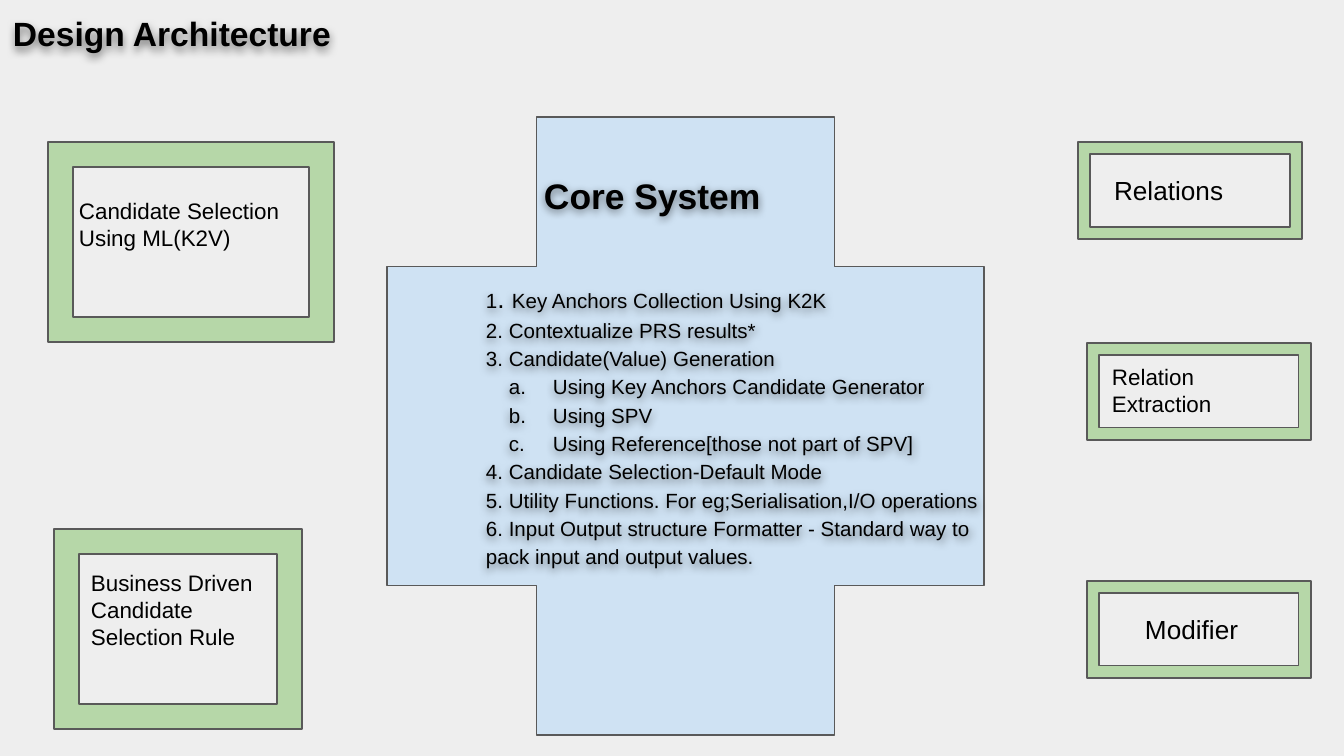
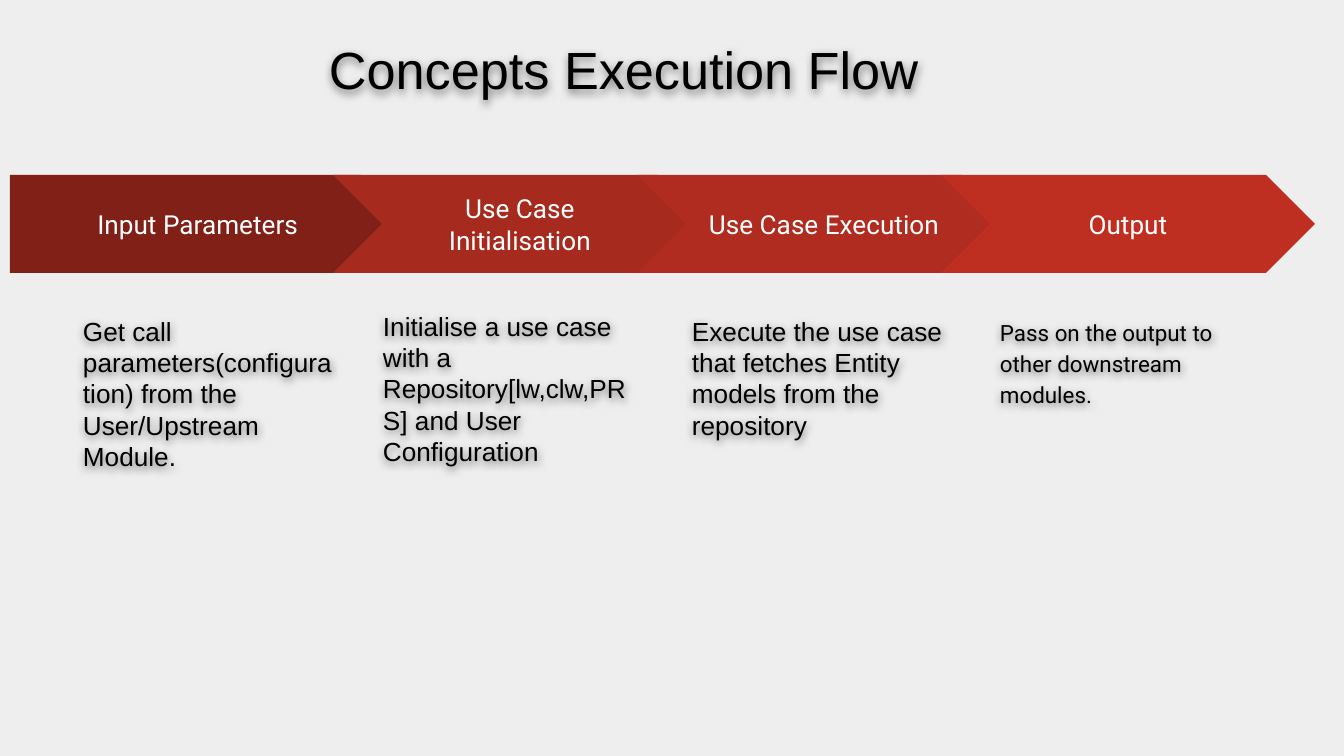
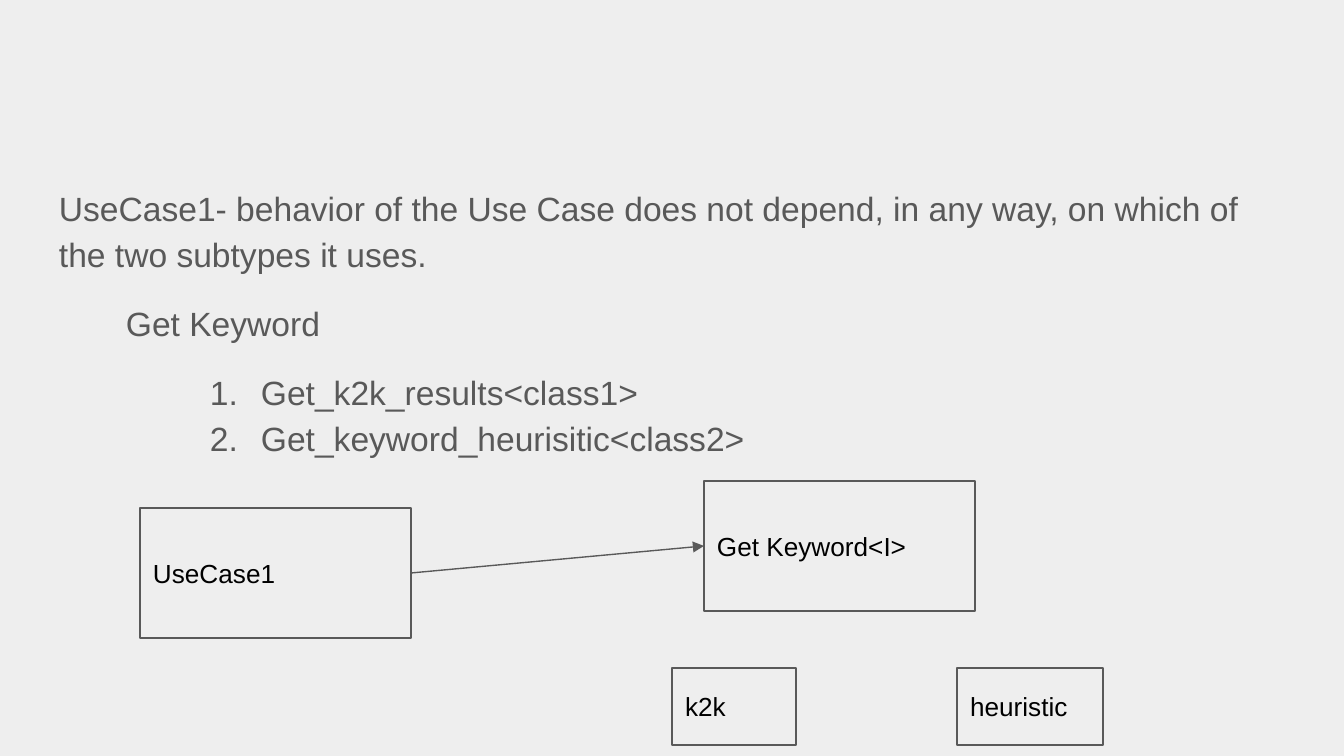
from dataclasses import dataclass, field

from lxml.etree import SubElement
from pptx import Presentation
from pptx.dml.color import RGBColor
from pptx.enum.shapes import MSO_CONNECTOR as Connector, MSO_SHAPE as Preset
from pptx.enum.text import MSO_ANCHOR as Anchor, PP_ALIGN as Align
from pptx.oxml.ns import qn
from pptx.util import Emu, Pt

PX_PER_INCH = 134.4
INSET = 13

BACKGROUND = RGBColor(0xEE, 0xEE, 0xEE)
BLACK = RGBColor(0, 0, 0)
WHITE = RGBColor(0xFF, 0xFF, 0xFF)
GREY = RGBColor(0x59, 0x59, 0x59)
CORE_BLUE = RGBColor(0xCF, 0xE2, 0xF3)
FRAME_GREEN = RGBColor(0xB6, 0xD7, 0xA8)
STAGE_REDS = [
    RGBColor(0x80, 0x20, 0x17),
    RGBColor(0xA7, 0x2A, 0x1E),
    RGBColor(0xB0, 0x2C, 0x20),
    RGBColor(0xBE, 0x2F, 0x22),
]


def px(length):
    return Emu(round(length * 914400 / PX_PER_INCH))


def font_style(size, color=BLACK, name="Arial", bold=False):
    return {"size": Pt(size), "name": name, "bold": bold, "color": color}


@dataclass
class Para:
    runs: list
    style: dict
    layout: dict = field(default_factory=dict)
    left: int = 0
    first: int = 0
    numbering: str = ""


def apply(target, values):
    for name, value in values.items():
        if name == "color":
            target.color.rgb = value
        else:
            setattr(target, name, value)


def number_paragraph(properties, scheme, color):
    bullet_color = SubElement(properties, qn("a:buClr"))
    SubElement(bullet_color, qn("a:srgbClr"), val=str(color))
    SubElement(properties, qn("a:buAutoNum"), type=scheme)


def write(shape, paras, anchor=Anchor.TOP):
    frame = shape.text_frame
    margins = {f"margin_{side}": px(INSET) for side in ("left", "top", "right", "bottom")}
    apply(frame, {"word_wrap": True, "vertical_anchor": anchor, **margins})
    for index, para in enumerate(paras):
        paragraph = frame.add_paragraph() if index else frame.paragraphs[0]
        apply(paragraph, {"alignment": Align.LEFT, **para.layout})
        properties = paragraph._p.get_or_add_pPr()
        properties.set("marL", str(px(para.left)))
        properties.set("indent", str(px(para.first)))
        if para.numbering:
            number_paragraph(properties, para.numbering, para.style["color"])
        for words, changes in para.runs:
            run = paragraph.add_run()
            run.text = words
            apply(run.font, {**para.style, **changes})


def plain(words, style, **details):
    return Para([(words, {})], style, **details)


def cast_shadow(shape):
    shape.shadow.inherit = False
    effects = shape._element.spPr.find(qn("a:effectLst"))
    shadow = SubElement(effects, qn("a:outerShdw"), blurRad="57150", dist="19050",
                        dir="5400000", algn="bl", rotWithShape="0")
    tint = SubElement(shadow, qn("a:srgbClr"), val="000000")
    SubElement(tint, qn("a:alpha"), val="50000")


def add_text(shapes, box, paras, shadowed=False):
    text = shapes.add_textbox(*map(px, box))
    write(text, paras)
    if shadowed:
        cast_shadow(text)


def add_block(shapes, preset, box, fill, outlined=True, adjustment=None):
    block = shapes.add_shape(preset, *map(px, box))
    block.shadow.inherit = False
    block.fill.solid()
    block.fill.fore_color.rgb = fill
    if outlined:
        block.line.color.rgb = GREY
        block.line.width = Pt(0.75)
    else:
        block.line.fill.background()
    if adjustment is not None:
        block.adjustments[0] = adjustment
    return block


def add_framed_label(shapes, frame_box, label_box, lines, size):
    add_block(shapes, Preset.FRAME, frame_box, FRAME_GREEN, adjustment=0.125)
    add_text(shapes, label_box, [plain(line, font_style(size)) for line in lines])


def add_stage(shapes, preset, arrow_box, fill, heading, text_box, detail):
    stage = shapes.add_group_shape().shapes
    arrow = add_block(stage, preset, arrow_box, fill, outlined=False, adjustment=0.5)
    heading_style = font_style(14, WHITE, "Roboto")
    write(arrow, [plain(heading, heading_style, layout={"alignment": Align.CENTER})], Anchor.MIDDLE)
    add_text(stage, text_box, [detail], shadowed=True)


def add_class_box(shapes, box, name):
    class_box = add_block(shapes, Preset.RECTANGLE, box, BACKGROUND)
    write(class_box, [plain(name, font_style(14))], Anchor.MIDDLE)
    return class_box


def add_arrow(shapes, source, target):
    arrow = shapes.add_connector(Connector.STRAIGHT, 0, 0, 0, 0)
    arrow.begin_connect(source, 3)
    arrow.end_connect(target, 1)
    arrow.line.color.rgb = GREY
    arrow.line.width = Pt(0.75)
    SubElement(arrow.line._get_or_add_ln(), qn("a:tailEnd"), type="triangle")
    SubElement(arrow._element.spPr, qn("a:effectLst"))


def add_slide(deck):
    slide = deck.slides.add_slide(deck.slide_layouts[6])
    slide.background.fill.solid()
    slide.background.fill.fore_color.rgb = BACKGROUND
    return slide.shapes


def core_paragraphs():
    style = font_style(11)
    spaced = {"line_spacing": 1.15}
    functions = [
        "2. Contextualize PRS results*",
        "3. Candidate(Value) Generation",
    ]
    generators = [
        "Using Key Anchors Candidate Generator",
        "Using SPV",
        "Using Reference[those not part of SPV]",
    ]
    services = [
        "4. Candidate Selection-Default Mode",
        "5. Utility Functions. For eg;Serialisation,I/O operations",
        "6. Input Output structure Formatter - Standard way to pack input and output values.",
    ]
    anchors = [("1", {}), (". ", {"size": Pt(14)}), ("Key Anchors Collection Using K2K", {})]
    return [
        plain("Core System", font_style(19, bold=True), left=58),
        Para(anchors, style, {**spaced, "space_before": Pt(33)}),
        *[plain(words, style, layout=spaced) for words in functions],
        *[plain(words, style, layout=spaced, left=67, first=-44, numbering="alphaLcPeriod")
          for words in generators],
        *[plain(words, style, layout=spaced) for words in services],
    ]


def build_architecture(deck):
    shapes = add_slide(deck)
    add_block(shapes, Preset.CROSS, (387, 117, 597, 618), CORE_BLUE, adjustment=0.25)
    add_text(shapes, (473, 161, 532, 460), core_paragraphs(), shadowed=True)
    modules = [
        ((48, 142, 286, 200), (66, 184, 269, 82), ["Candidate Selection", "Using ML(K2V)"], 12),
        ((54, 529, 248, 200), (78, 556, 207, 109),
         ["Business Driven Candidate Selection Rule"], 12),
        ((1078, 142, 224, 97), (1101, 161, 179, 59), ["Relations"], 14),
        ((1087, 343, 224, 97), (1099, 350, 202, 82), ["Relation Extraction"], 12),
        ((1087, 581, 224, 97), (1132, 600, 157, 59), ["Modifier"], 14),
    ]
    for module in modules:
        add_framed_label(shapes, *module)
    title = plain("Design Architecture", font_style(18, bold=True))
    add_text(shapes, (0, 0, 732, 67), [title], shadowed=True)


def build_flow(deck):
    shapes = add_slide(deck)
    title = plain("Concepts Execution Flow", font_style(28))
    add_text(shapes, (316, 24, 806, 90), [title], shadowed=True)
    body = font_style(14)
    stages = [
        ("Input Parameters", 70, 302, plain(
            "Get call parameters(configuration) from the User/Upstream Module.", body)),
        ("Use Case Initialisation", 370, 297, plain(
            "Initialise a use case with a Repository[lw,clw,PRS] and User Configuration", body)),
        ("Use Case Execution", 679, 302, plain(
            "Execute the use case that fetches Entity models from the repository", body)),
        ("Output", 987, 302, plain(
            "Pass on the output to other downstream modules.",
            font_style(12, name="Roboto"), layout={"line_spacing": 1.15})),
    ]
    for index, (heading, left, top, detail) in enumerate(stages):
        preset = Preset.CHEVRON if index else Preset.PENTAGON
        arrow_box = (29 + 304 * index, 175, 374, 98) if index else (10, 175, 400, 98)
        add_stage(shapes, preset, arrow_box, STAGE_REDS[index], heading,
                  (left, top, 280, 384), detail)


def build_use_case(deck):
    shapes = add_slide(deck)
    style = font_style(18, GREY)
    spaced = {"line_spacing": 1.15}
    opened = {**spaced, "space_before": Pt(12)}
    method = {"left": 202, "first": -51, "numbering": "arabicPeriod"}
    add_text(shapes, (46, 169, 1253, 304), [
        plain("UseCase1- behavior of the Use Case does not depend, in any way, "
              "on which of the two subtypes it uses.", style, layout=spaced),
        plain("Get Keyword", style, layout=opened, first=67),
        plain("Get_k2k_results<class1>", style, layout=opened, **method),
        plain("Get_keyword_heurisitic<class2>", style, layout=spaced, **method),
    ])
    use_case = add_class_box(shapes, (140, 508, 271, 130), "UseCase1")
    get_keyword = add_class_box(shapes, (704, 481, 271, 130), "Get Keyword<I>")
    add_class_box(shapes, (672, 668, 124, 77), "k2k")
    add_class_box(shapes, (957, 668, 146, 77), "heuristic")
    add_arrow(shapes, use_case, get_keyword)


def main():
    deck = Presentation()
    deck.slide_width, deck.slide_height = px(1344), px(756)
    build_architecture(deck)
    build_flow(deck)
    build_use_case(deck)
    deck.save("out.pptx")


if __name__ == "__main__":
    main()
